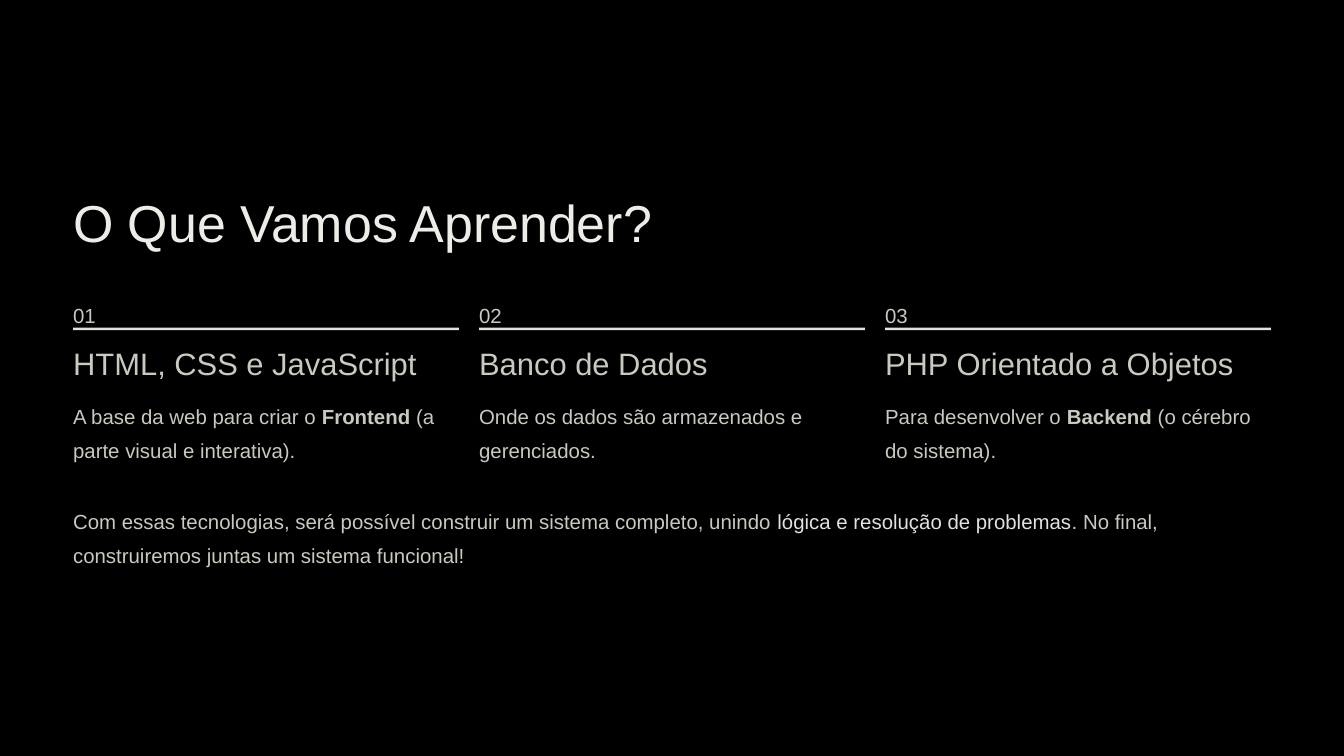
from collections import namedtuple
from dataclasses import dataclass

from pptx import Presentation
from pptx.dml.color import RGBColor
from pptx.enum.shapes import MSO_SHAPE
from pptx.enum.text import MSO_ANCHOR, MSO_AUTO_SIZE, PP_ALIGN
from pptx.util import Inches, Pt

RECTANGLE = MSO_SHAPE.RECTANGLE
TOP = MSO_ANCHOR.TOP
NO_FIT = MSO_AUTO_SIZE.NONE
LEFT = PP_ALIGN.LEFT

Box = namedtuple("Box", "left top width height")
Style = namedtuple("Style", "size leading color")


@dataclass(frozen=True)
class Theme:
    font: str = "Arial"
    background: str = "000000"
    accent: str = "E1E1DF"
    title: Style = Style(44.5, 55.5, "EDEDE8")
    heading: Style = Style(26.5, 33, "C9C9C0")
    body: Style = Style(17.5, 28.5, "C9C9C0")


THEME = Theme()
BOLD = {"bold": True}
ACCENT = {"color": THEME.accent}

TOPICS = [
    ("HTML, CSS e JavaScript",
     [("A base da web para criar o ", {}), ("Frontend", BOLD),
      (" (a parte visual e interativa).", {})]),
    ("Banco de Dados",
     [("Onde os dados são armazenados e gerenciados.", {})]),
    ("PHP Orientado a Objetos",
     [("Para desenvolver o ", {}), ("Backend", BOLD),
      (" (o cérebro do sistema).", {})]),
]
SUMMARY = [
    ("Com essas tecnologias, será possível construir um sistema completo, unindo ", {}),
    ("lógica e resolução de problemas", ACCENT),
    (". No final, construiremos juntas um sistema funcional!", {}),
]


def set_attributes(target, values):
    for name, value in values.items():
        setattr(target, name, value)


def write_text(shape, spans, style):
    frame = shape.text_frame
    set_attributes(frame, {
        "word_wrap": True, "auto_size": NO_FIT, "vertical_anchor": TOP,
        "margin_left": 0, "margin_top": 0, "margin_right": 0, "margin_bottom": 0,
    })
    para = frame.paragraphs[0]
    set_attributes(para, {"alignment": LEFT, "line_spacing": Pt(style.leading)})
    for text, changes in spans:
        span = para.add_run()
        span.text = text
        set_attributes(span.font, {
            "name": THEME.font, "size": Pt(style.size),
            "bold": changes.get("bold", False),
        })
        span.font.color.rgb = RGBColor.from_string(changes.get("color", style.color))


def add_text(page, box, spans, style):
    shape = page.shapes.add_textbox(*map(Inches, box))
    write_text(shape, spans, style)


def add_title(page, box, text):
    title = page.shapes.title
    set_attributes(title, {name: Inches(value) for name, value in box._asdict().items()})
    write_text(title, [(text, {})], THEME.title)


def add_topic(page, box, number, heading, description):
    add_text(page, box._replace(height=0.31), [(f"{number:02d}", {})], THEME.body)
    rule = page.shapes.add_shape(
        RECTANGLE, *map(Inches, box._replace(top=box.top + 0.39, height=0.03)))
    rule.shadow.inherit = False
    rule.fill.solid()
    rule.fill.fore_color.rgb = RGBColor.from_string(THEME.accent)
    rule.line.fill.background()
    add_text(page, box._replace(top=box.top + 0.58, height=0.47),
             [(heading, {})], THEME.heading)
    add_text(page, box._replace(top=box.top + 1.2, height=0.79),
             description, THEME.body)


def add_topics(page, box, gap):
    width = (box.width - gap * (len(TOPICS) - 1)) / len(TOPICS)
    for index, (heading, description) in enumerate(TOPICS):
        column = box._replace(left=box.left + index * (width + gap), width=width)
        add_topic(page, column, index + 1, heading, description)


def build_page(deck):
    page = deck.slides.add_slide(deck.slide_layouts[5])
    page.background.fill.solid()
    page.background.fill.fore_color.rgb = RGBColor.from_string(THEME.background)
    content = Box(0.87, 2.24, 14.26, 4.51)
    add_title(page, content._replace(height=0.78), "O Que Vamos Aprender?")
    add_topics(page, content._replace(top=content.top + 1.27, height=1.99), 0.24)
    add_text(page, content._replace(top=content.top + 3.72, height=0.79),
             SUMMARY, THEME.body)


def main():
    deck = Presentation()
    set_attributes(deck, {"slide_width": Inches(16), "slide_height": Inches(9)})
    build_page(deck)
    deck.save("out.pptx")


if __name__ == "__main__":
    main()
